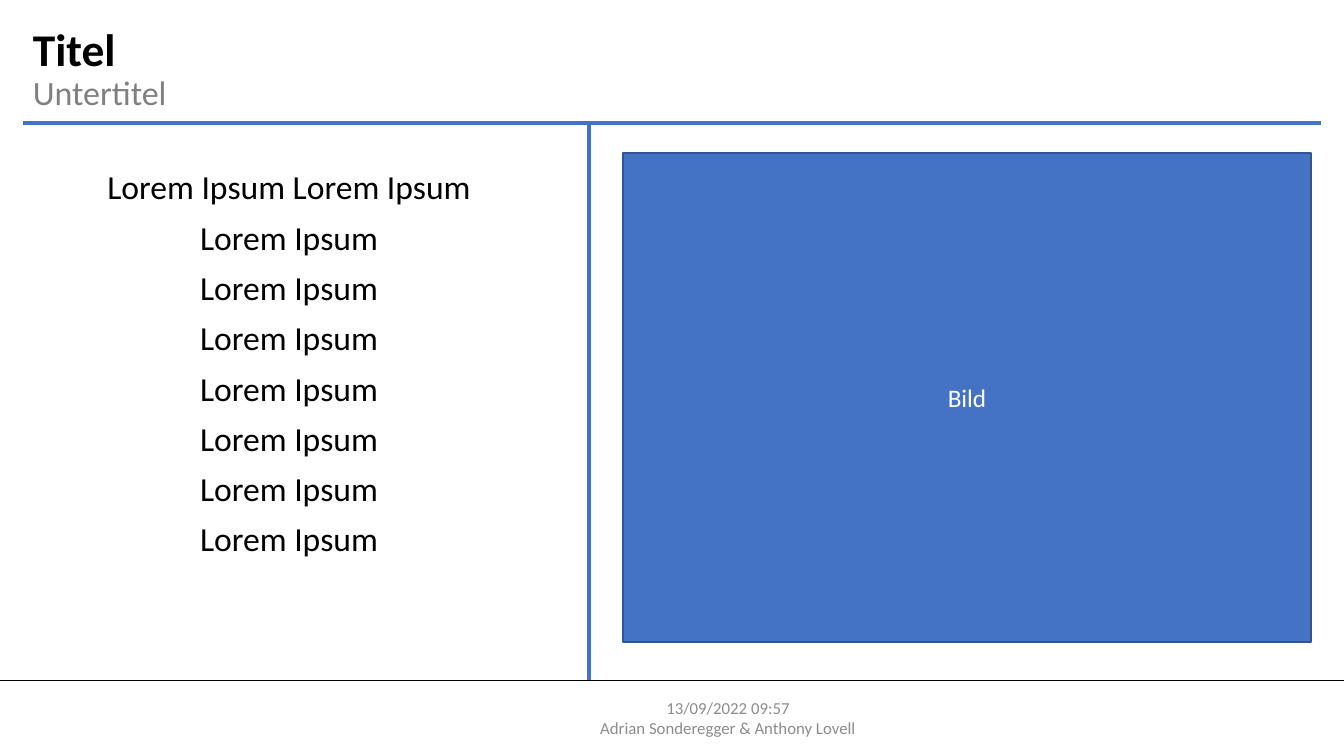
from lxml.etree import SubElement
from pptx import Presentation
from pptx.dml.color import RGBColor
from pptx.enum.shapes import MSO_CONNECTOR, MSO_SHAPE
from pptx.enum.text import MSO_ANCHOR, PP_ALIGN
from pptx.oxml.ns import qn
from pptx.util import Pt

PX = 12192000 / 1344
COLORS = {"black": "000000", "subtitle": "808080", "footer": "8C8C8C",
          "blue": "4472C4", "outline": "325491", "white": "FFFFFF"}


def px(*lengths):
    return [round(length * PX) for length in lengths]


def write(shape, lines, size, color, align=PP_ALIGN.CENTER,
          anchor=MSO_ANCHOR.TOP, spacing=1.0, before=0):
    frame = shape.text_frame
    frame.word_wrap = True
    frame.vertical_anchor = anchor
    frame.text = "\n".join(lines)
    for paragraph in frame.paragraphs:
        paragraph.alignment = align
        paragraph.line_spacing = spacing
        paragraph.space_before = Pt(before)
        paragraph.font.name = "Calibri"
        paragraph.font.size = Pt(size)
        paragraph.font.color.rgb = RGBColor.from_string(COLORS[color])
    return frame.paragraphs


prs = Presentation()
prs.slide_width, prs.slide_height = px(1344, 756)
slide = prs.slides.add_slide(prs.slide_layouts[6])
shapes = slide.shapes

# Title and subtitle
heading = shapes.add_textbox(*px(23, 22, 1298, 102))
title, subtitle = write(heading, ["Titel", "Untertitel"], 32.4, "black",
                        align=PP_ALIGN.LEFT, spacing=0.9)
title.font.bold = True
subtitle.font.size = Pt(24.3)
subtitle.font.color.rgb = RGBColor.from_string(COLORS["subtitle"])

# Text column
body = shapes.add_textbox(*px(19, 166, 540, 482))
write(body, ["Lorem Ipsum Lorem Ipsum"] + ["Lorem Ipsum"] * 7, 24, "black",
      spacing=0.9, before=10)

# Footer
footer = shapes.add_textbox(*px(414, 680, 628, 76))
write(footer, ["13/09/2022 09:57", "Adrian Sonderegger & Anthony Lovell"],
      12, "footer", anchor=MSO_ANCHOR.MIDDLE)

# Image area
image_area = shapes.add_shape(MSO_SHAPE.RECTANGLE, *px(623, 153, 688, 489))
image_area.shadow.inherit = False
image_area.fill.solid()
image_area.fill.fore_color.rgb = RGBColor.from_string(COLORS["blue"])
image_area.line.color.rgb = RGBColor.from_string(COLORS["outline"])
image_area.line.width = Pt(1)
write(image_area, ["Bild"], 18, "white", anchor=MSO_ANCHOR.MIDDLE)

# Footer rule, heading rule and column divider
for ends, color, width in [((0, 680, 1344, 680), "black", 0.5),
                           ((23, 123, 1321, 123), "blue", 3),
                           ((589, 123, 589, 680), "blue", 3)]:
    rule = shapes.add_connector(MSO_CONNECTOR.STRAIGHT, *px(*ends))
    rule.line.color.rgb = RGBColor.from_string(COLORS[color])
    rule.line.width = Pt(width)
    SubElement(rule._element.spPr, qn("a:effectLst"))

prs.save("out.pptx")
